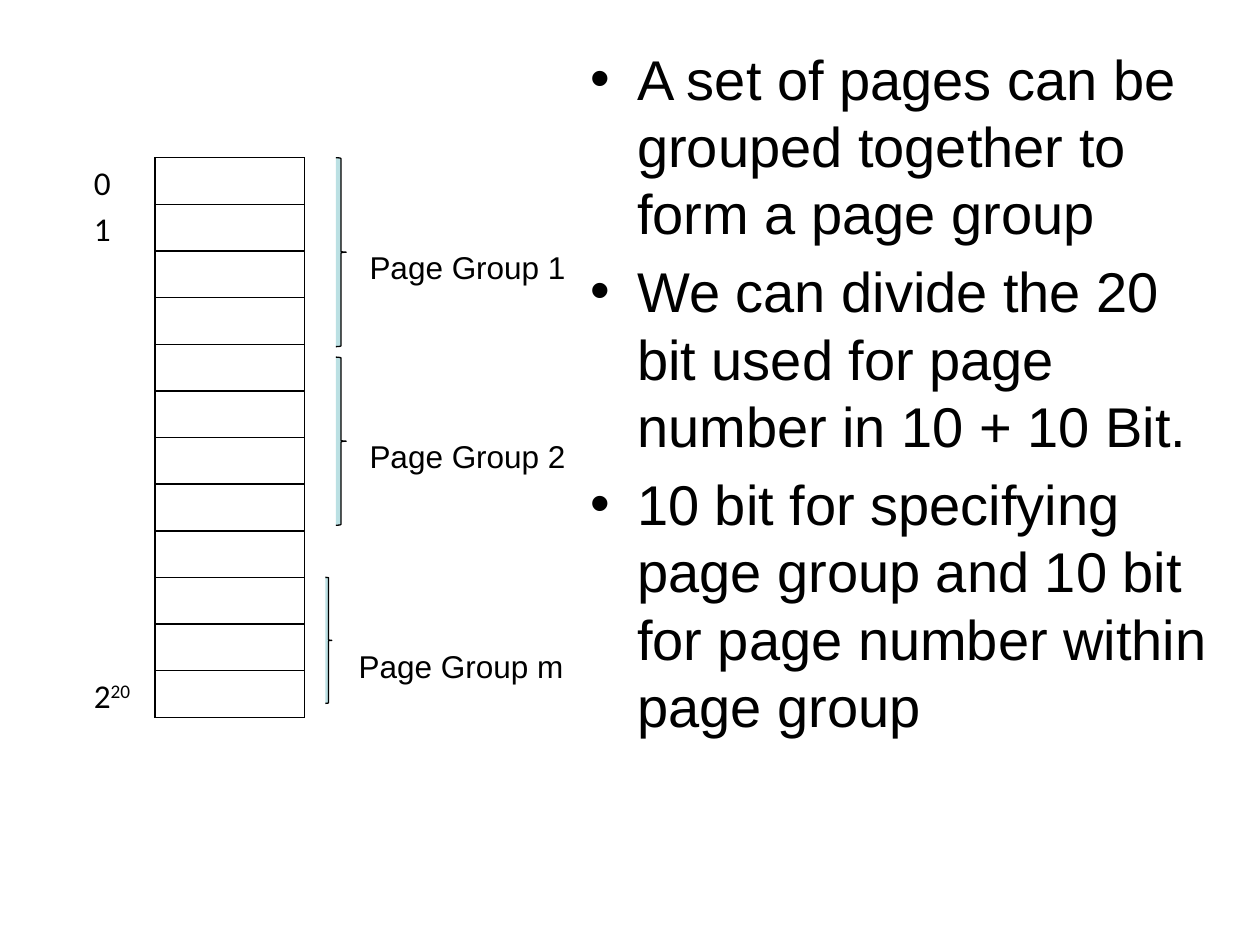
from pptx import Presentation
from pptx import util as u
from pptx.dml.color import RGBColor
from pptx.enum import shapes, text
from pptx.oxml import ns
from lxml import etree

HUES = {"ink": "000000", "brace": "BBE0E3"}
ROWS = 12
PLAIN = "{2D5ABB26-0587-4C30-8999-92F81FD0307C}"  # no style, no grid
LABELS = {0: [("0", False)], 1: [("1", False)],
          ROWS - 1: [("2", False), ("20", True)]}
# name, brace left, top, width, height, then label left, top, width
GROUPS = [
    ("Page Group 1", (6.77, 3.18, 0.21, 3.81), (7.2, 4.87, 4.5)),
    ("Page Group 2", (6.77, 7.2, 0.21, 3.39), (7.2, 8.68, 4.5)),
    ("Page Group m", (6.56, 11.64, 0.13, 2.54), (6.98, 12.91, 4.67)),
]
POINTS = [
    "A set of pages can be grouped together to form a page group",
    "We can divide the 20 bit used for page number in 10 + 10 Bit.",
    "10 bit for specifying page group and 10 bit for page number "
    "within page group",
]


def hue(name):
    return RGBColor.from_string(HUES[name])


def add_run(para, words, size, face="Arial", high=False):
    run = para.add_run()
    run.text = words
    font = run.font
    font.size, font.name = u.Pt(size), face
    font.color.rgb = hue("ink")
    if high:
        font._element.set("baseline", "30000")


def frame_cell(cell):
    """Draw a thin line on all four sides of a cell."""
    props = cell._tc.get_or_add_tcPr()
    for i, side in enumerate(("lnL", "lnR", "lnT", "lnB")):
        line = etree.Element(ns.qn("a:" + side), w=str(u.Pt(1)))
        fill = etree.SubElement(line, ns.qn("a:solidFill"))
        etree.SubElement(fill, ns.qn("a:srgbClr"), val=HUES["ink"])
        props.insert(i, line)


def add_pages(slide):
    """Add the column of pages with their numbers on the left."""
    frame = slide.shapes.add_table(ROWS, 2, u.Cm(1.7), u.Cm(3.18),
                                   u.Cm(4.44), u.Cm(0.94 * ROWS))
    table = frame.table
    table.first_row = table.horz_banding = False
    table._tbl.tblPr.find(ns.qn("a:tableStyleId")).text = PLAIN
    for col, wide in zip(table.columns, (1.42, 3.02)):
        col.width = u.Cm(wide)
    for i, row in enumerate(table.rows):
        row.height = u.Cm(0.94)
        for cell in row.cells:
            cell.fill.background()
            cell.margin_left = cell.margin_right = u.Cm(0.19)
            cell.margin_top = cell.margin_bottom = 0
        frame_cell(row.cells[1])
        para = row.cells[0].text_frame.paragraphs[0]
        if i in LABELS:
            para.line_spacing = 1.15
        for words, high in LABELS.get(i, []):
            add_run(para, words, 19, "Calibri", high)


def add_brace(slide, box):
    brace = slide.shapes.add_shape(shapes.MSO_SHAPE.RIGHT_BRACE,
                                   *map(u.Cm, box))
    brace.shadow.inherit = False
    brace.fill.solid()
    brace.fill.fore_color.rgb = hue("brace")
    brace.line.color.rgb = hue("ink")
    brace.line.width = u.Pt(0.75)


def add_label(slide, words, spot):
    box = slide.shapes.add_textbox(*map(u.Cm, spot), u.Cm(1.02))
    box.text_frame.word_wrap = False
    add_run(box.text_frame.paragraphs[0], words, 18)


def fill_body(slide):
    body = slide.placeholders[1]
    body.left, body.top = u.Cm(11.64), u.Cm(0.76)
    body.width, body.height = u.Cm(13.34), u.Cm(16.26)
    frame = body.text_frame
    frame.auto_size = text.MSO_AUTO_SIZE.NONE
    frame.vertical_anchor = text.MSO_ANCHOR.TOP
    for i, words in enumerate(POINTS):
        para = frame.add_paragraph() if i else frame.paragraphs[0]
        props = para._p.get_or_add_pPr()
        props.set("marL", str(u.Cm(0.95)))
        props.set("indent", str(u.Cm(-0.95)))
        etree.SubElement(props, ns.qn("a:buChar"), char="•")
        para.space_before = u.Pt(6.4 if i else 0)
        add_run(para, words, 32)


def main():
    deck = Presentation()
    deck.slide_width, deck.slide_height = u.Cm(25.4), u.Cm(19.05)
    slide = deck.slides.add_slide(deck.slide_layouts[1])
    title = slide.shapes.title._element
    title.getparent().remove(title)
    add_pages(slide)
    for words, box, spot in GROUPS:
        add_brace(slide, box)
        add_label(slide, words, spot)
    fill_body(slide)
    deck.save("out.pptx")


if __name__ == "__main__":
    main()
